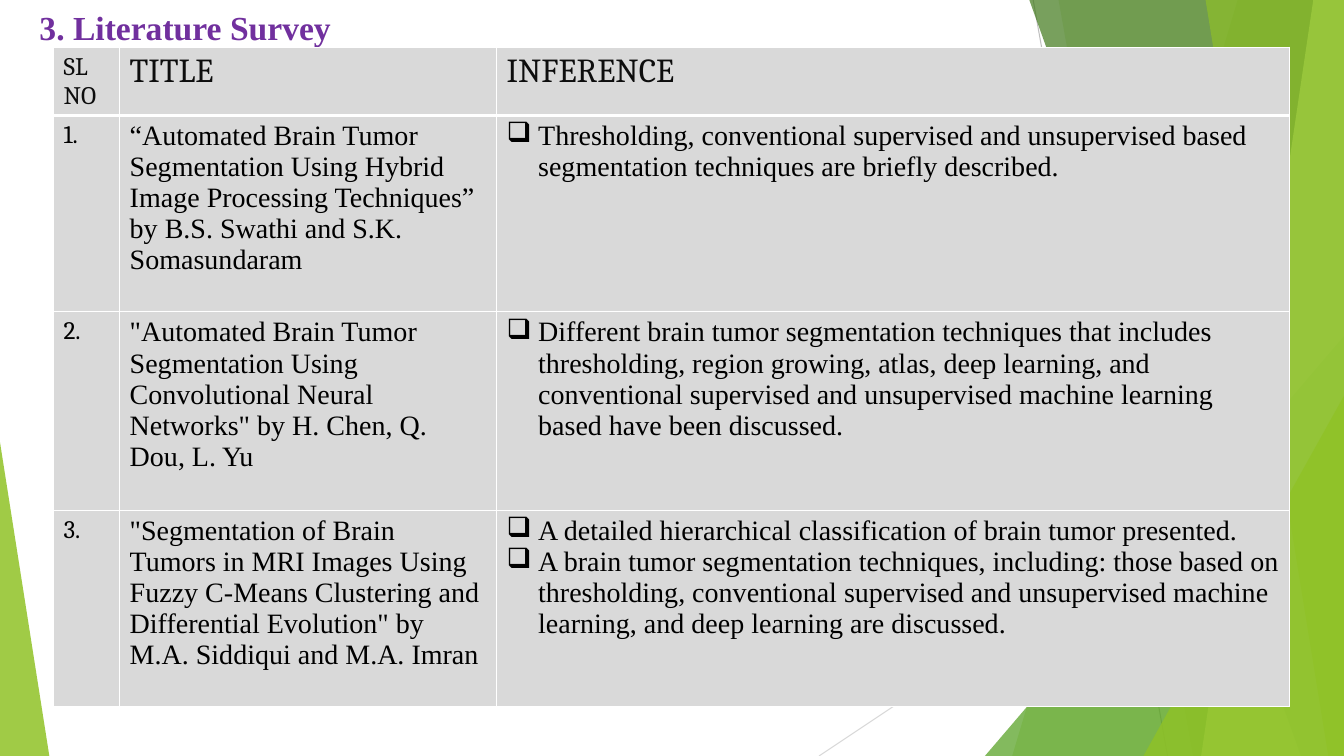
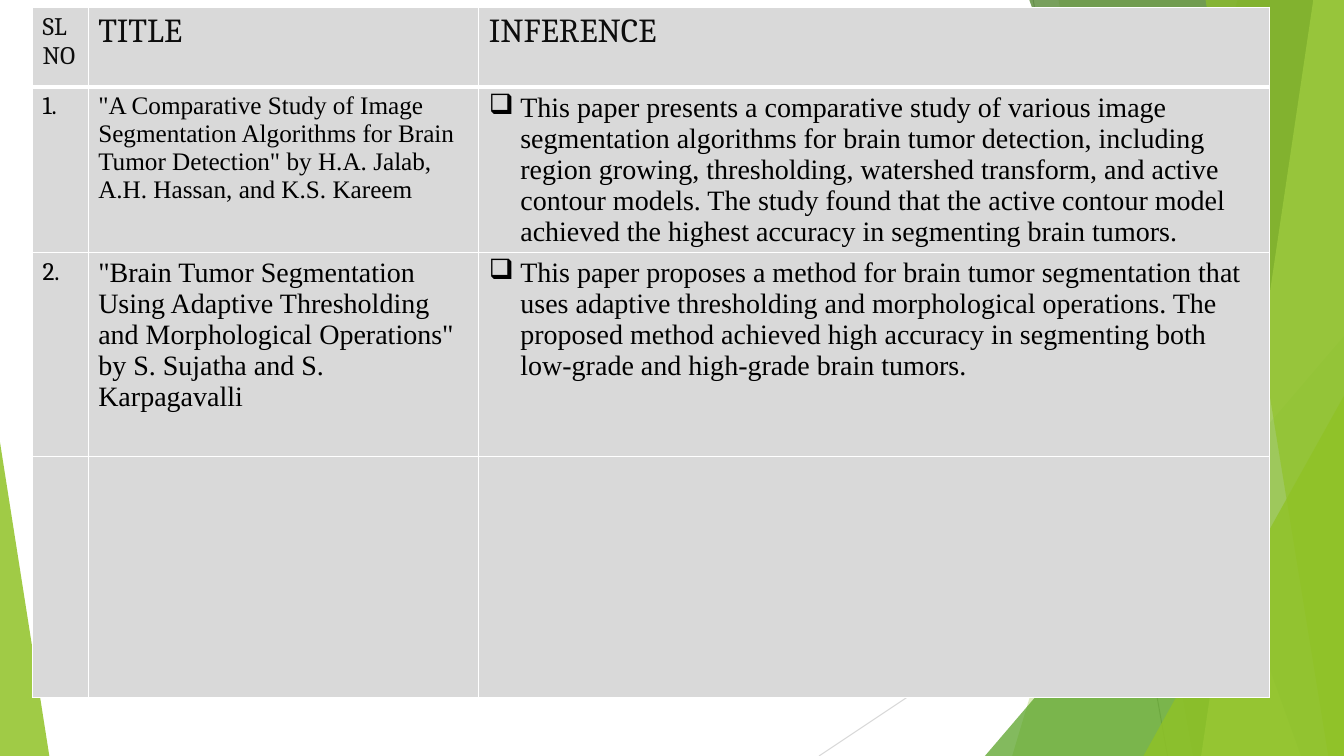
"""Build the two literature survey slides."""
from typing import Any, NamedTuple

from lxml.etree import SubElement as Sub
from pptx import Presentation
from pptx.dml.color import RGBColor as Rgb
from pptx.enum.shapes import MSO_CONNECTOR as Link, MSO_SHAPE as Form
from pptx.enum.text import MSO_ANCHOR as Anchor, MSO_AUTO_SIZE as Fit, PP_ALIGN as Align
from pptx.oxml import parse_xml
from pptx.oxml.ns import nsdecls, qn
from pptx.util import Pt

PX = 9525
WIDE, HIGH = 1280, 720
LIME, GREEN, MOSS, PALE = "90C226", "54A021", "3F7819", "C0E474"
GREY, WHITE, INK, BLACK, VIOLET = "D9D9D9", "FFFFFF", "0D0D0D", "000000", "71309E"
SERIF, TIMES = "Cambria", "Times New Roman"
INDENT = 30

HEAD = {"name": SERIF, "size": Pt(24), "bold": False}
MARK = {"name": SERIF, "size": Pt(18), "bold": False}
BODY = {"name": TIMES, "size": Pt(20), "bold": False}
SMALL = BODY | {"size": Pt(18)}
TITLE = {"name": TIMES, "size": Pt(24), "bold": True}


class Line(NamedTuple):
    """A thin straight line."""
    ends: tuple[int, int, int, int]
    tone: str


class Band(NamedTuple):
    """A slanted band that reaches the right edge."""
    top: int
    foot: int
    tone: str
    alpha: int


class Wedge(NamedTuple):
    """A right triangle with its tip at the left (0) or right (1)."""
    box: tuple[int, int, int, int]
    tip: int
    tone: str
    alpha: int


class Paper(NamedTuple):
    """One surveyed paper."""
    title: str
    notes: tuple[str, ...]
    style: dict[str, Any] = BODY


class Grid(NamedTuple):
    """A survey table."""
    left: int
    top: int
    cols: tuple[int, ...]
    rows: tuple[int, ...]
    papers: tuple[Paper, ...]


DECOR = (
    Line((984, 0, 1112, HIGH), "BFBFBF"),
    Line((WIDE, 387, 780, HIGH), GREY),
    Band(1179, 964, LIME, 30),
    Band(1008, 1136, LIME, 20),
    Wedge((938, 320, 342, 400), 1, GREEN, 72),
    Band(980, 1239, MOSS, 70),
    Band(1251, 1144, PALE, 70),
    Band(1148, 1265, LIME, 65),
    Wedge((1089, 377, 191, 343), 1, LIME, 80),
    Wedge((0, 421, 47, 299), 0, LIME, 85),
)

FIRST = Grid(51, 45, (63, 359, 755), (62, 187, 189, 187), (
    Paper("“Automated Brain Tumor Segmentation Using Hybrid Image Processing Techniques” "
          "by B.S. Swathi and S.K. Somasundaram",
          ("Thresholding, conventional supervised and unsupervised based segmentation "
           "techniques are briefly described.",)),
    Paper('"Automated Brain Tumor Segmentation Using Convolutional Neural Networks" '
          "by H. Chen, Q. Dou, L. Yu",
          ("Different brain tumor segmentation techniques that includes thresholding, region "
           "growing, atlas, deep learning, and conventional supervised and unsupervised "
           "machine learning based have been discussed.",)),
    Paper('"Segmentation of Brain Tumors in MRI Images Using Fuzzy C-Means Clustering and '
          'Differential Evolution" by M.A. Siddiqui and M.A. Imran',
          ("A detailed hierarchical classification of brain tumor presented.",
           "A brain tumor segmentation techniques, including: those based on thresholding, "
           "conventional supervised and unsupervised machine learning, and deep learning "
           "are discussed.")),
))

SECOND = Grid(31, 7, (53, 372, 753), (76, 120, 194, 230), (
    Paper('"A Comparative Study of Image Segmentation Algorithms for Brain Tumor Detection" '
          "by H.A. Jalab, A.H. Hassan, and K.S. Kareem",
          ("This paper presents a comparative study of various image segmentation algorithms "
           "for brain tumor detection, including region growing, thresholding, watershed "
           "transform, and active contour models. The study found that the active contour "
           "model achieved the highest accuracy in segmenting brain tumors.",), SMALL),
    Paper('"Brain Tumor Segmentation Using Adaptive Thresholding and Morphological '
          'Operations" by S. Sujatha and S. Karpagavalli',
          ("This paper proposes a method for brain tumor segmentation that uses adaptive "
           "thresholding and morphological operations. The proposed method achieved high "
           "accuracy in segmenting both low-grade and high-grade brain tumors.",)),
))


def px(*vals: int) -> list[int]:
    """Turn pixels into EMU."""
    return [val * PX for val in vals]


def paint(fill: Any, tone: str) -> None:
    """Give a fill one solid colour."""
    fill.solid()
    fill.fore_color.rgb = Rgb.from_string(tone)


def apply(item: Any, style: dict[str, Any]) -> None:
    """Set each named attribute."""
    for key, val in style.items():
        setattr(item, key, val)


def write(para: Any, text: str, style: dict[str, Any], tone: str) -> None:
    """Add one styled run."""
    run = para.add_run()
    run.text = text
    apply(run.font, style)
    paint(run.font.fill, tone)


def draw(group: Any, part: Any) -> None:
    """Draw one part of the backdrop."""
    if isinstance(part, Line):
        line = group.add_connector(Link.STRAIGHT, *px(*part.ends))
        paint(line.line.fill, part.tone)
        line.line.width = Pt(0.75)
        Sub(line.element.spPr, qn("a:effectLst"))
        return
    if isinstance(part, Band):
        pen = group.build_freeform(part.top, -1, scale=PX)
        pen.add_line_segments([(WIDE, -1), (WIDE, HIGH), (part.foot, HIGH)], close=True)
        shape = pen.convert_to_shape()
    else:
        shape = group.add_shape(Form.ISOSCELES_TRIANGLE, *px(*part.box))
        shape.adjustments[0] = part.tip
    paint(shape.fill, part.tone)
    shade = shape.element.spPr.find(".//" + qn("a:srgbClr"))
    Sub(shade, qn("a:alpha"), val=str(part.alpha * 1000))
    shape.line.fill.background()
    shape.shadow.inherit = False


def dress(deck: Any, slide: Any) -> None:
    """Place the backdrop on the slide master."""
    group = slide.shapes.add_group_shape()
    for part in DECOR:
        draw(group.shapes, part)
    for num, node in enumerate(group.element.iter(qn("p:cNvPr")), 20):
        node.set("id", str(num))
    deck.slide_master.shapes.element.insert(2, group.element)


def frame(cell: Any, head: bool) -> None:
    """Fill a cell and rule its edges."""
    paint(cell.fill, GREY)
    props = cell._tc.get_or_add_tcPr()
    for num, side in enumerate("LRTB"):
        width = Pt(3 if head and side == "B" else 1)
        props.insert(num, parse_xml(
            f'<a:ln{side} {nsdecls("a")} w="{width}"><a:solidFill>'
            f'<a:srgbClr val="{WHITE}"/></a:solidFill></a:ln{side}>'))


def list_notes(cell: Any, notes: tuple[str, ...]) -> None:
    """Write the bulleted notes of a paper."""
    for num, note in enumerate(notes):
        para = cell.text_frame.add_paragraph() if num else cell.text_frame.paragraphs[0]
        props = para._p.get_or_add_pPr()
        apply_xml = {"marL": INDENT * PX, "indent": -INDENT * PX}
        for key, val in apply_xml.items():
            props.set(key, str(val))
        Sub(props, qn("a:buChar"), char="❑")
        write(para, note, BODY, BLACK)


def survey(slide: Any, grid: Grid) -> None:
    """Draw a survey table."""
    box = px(grid.left, grid.top, sum(grid.cols), sum(grid.rows))
    table = slide.shapes.add_table(len(grid.rows), len(grid.cols), *box).table
    table.horz_banding = False
    for col, wide in zip(table.columns, grid.cols):
        col.width = wide * PX
    for num, (row, high) in enumerate(zip(table.rows, grid.rows)):
        row.height = high * PX
        for cell in row.cells:
            frame(cell, num == 0)
    heads = (("SL NO", MARK), ("TITLE", HEAD), ("INFERENCE", HEAD))
    for col, (text, style) in enumerate(heads):
        write(table.cell(0, col).text_frame.paragraphs[0], text, style, INK)
    for num, paper in enumerate(grid.papers, 1):
        mark, name, notes = (table.cell(num, col) for col in range(3))
        write(mark.text_frame.paragraphs[0], f"{num}.", MARK, BLACK)
        write(name.text_frame.paragraphs[0], paper.title, paper.style, BLACK)
        list_notes(notes, paper.notes)


def head_line(slide: Any, text: str) -> None:
    """Place and write the slide title."""
    title = slide.shapes.title
    left, top, wide, high = px(28, 2, 394, 48)
    apply(title, {"left": left, "top": top, "width": wide, "height": high})
    apply(title.text_frame, {"auto_size": Fit.NONE, "word_wrap": True,
                             "vertical_anchor": Anchor.TOP})
    para = title.text_frame.paragraphs[0]
    para.alignment = Align.LEFT
    write(para, text, TITLE, VIOLET)


def main() -> None:
    """Build and save the deck."""
    deck = Presentation()
    deck.slide_width, deck.slide_height = px(WIDE, HIGH)
    titled, blank = deck.slide_layouts[5], deck.slide_layouts[6]
    start = deck.slides.add_slide(titled)
    dress(deck, start)
    head_line(start, "3. Literature Survey")
    survey(start, FIRST)
    survey(deck.slides.add_slide(blank), SECOND)
    deck.save("out.pptx")


if __name__ == "__main__":
    main()
